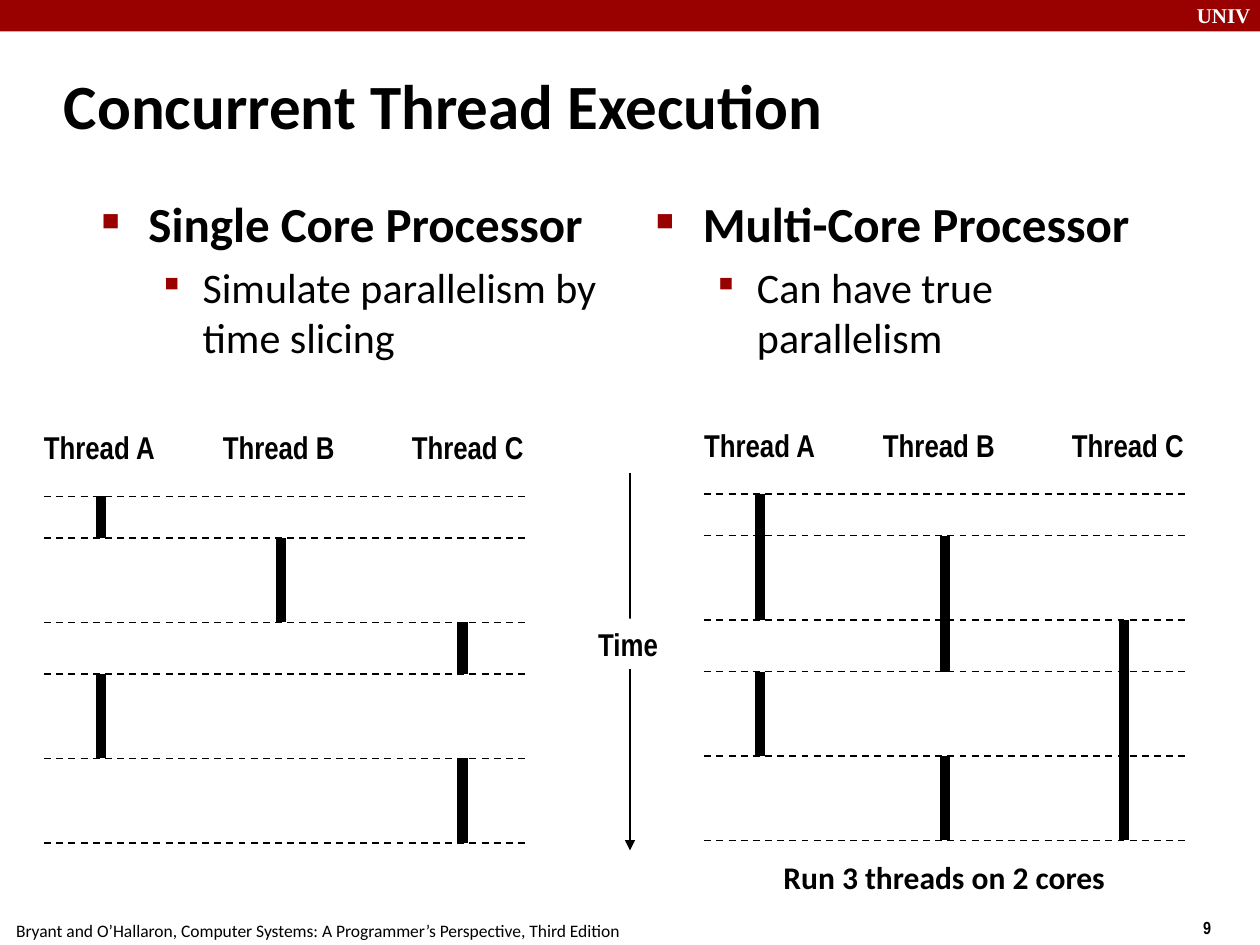
"""Build a slide comparing thread execution on single-core and multi-core processors."""
from lxml import etree
from pptx import Presentation
from pptx.dml.color import RGBColor
from pptx.enum import dml, shapes, text
from pptx.oxml.ns import qn
from pptx.util import Inches, Pt

THEME = dict(
    black="000000", red="990000", white="FFFFFF",
    body="Calibri", label="Arial Narrow", brand="Times New Roman",
    title=36, head=28, sub=24, tag=18, logo=12, foot=10,
    thin=1, thick=6,
)

TITLE = "Concurrent Thread Execution"
POINTS = [
    (0.7, "Single Core Processor", "Simulate parallelism by time slicing"),
    (5.1, "Multi-Core Processor", "Can have true parallelism"),
]
BULLETS = [
    dict(char="■", scale=60, left=0.38, hang=-0.37, gap=5.6, size="head", bold=True),
    dict(char="▪", scale=110, left=0.81, hang=-0.31, gap=4.8, size="sub", bold=False),
]
THREADS = [("Thread A", 0), ("Thread B", 1.42), ("Thread C", 2.92)]
TICKS = [0, 0.33, 1, 1.41, 2.08, 2.75]
CHARTS = [
    dict(left=0.35, top=3.94, lanes=(0.45, 1.88, 3.32),
         runs=[(0, 0, 1), (1, 1, 2), (2, 2, 3), (0, 3, 4), (2, 4, 5)]),
    dict(left=5.59, top=3.92, lanes=(0.44, 1.91, 3.33),
         runs=[(0, 0, 2), (1, 1, 3), (2, 2, 5), (0, 3, 4), (1, 4, 5)]),
]
SPAN = 3.82
NOTES = [
    dict(words="UNIV", box=(9.4, -0.03, 0.67, 0.3),
         size="logo", face="brand", color="white"),
    dict(words="9", box=(9.45, 7.23, 0.5, 0.27), size="foot", face="label"),
    dict(words="Bryant and O’Hallaron, Computer Systems: A Programmer’s Perspective, Third Edition",
         box=(0.03, 7.25, 5.2, 0.25), size="foot", bold=False),
    dict(words="Run 3 threads on 2 cores", box=(6.12, 6.76, 2.9, 0.4)),
]

deck = Presentation()
deck.slide_width, deck.slide_height = Inches(10), Inches(7.5)
slide = deck.slides.add_slide(deck.slide_layouts[6])


def tint(name):
    return RGBColor.from_string(THEME[name])


def style(run, size, face="body", color="black", bold=True):
    values = dict(size=Pt(THEME[size]), name=THEME[face], bold=bold)
    for key, value in values.items():
        setattr(run.font, key, value)
    run.font.color.rgb = tint(color)


def block(box, color):
    shape = slide.shapes.add_shape(shapes.MSO_SHAPE.RECTANGLE, *map(Inches, box))
    shape.shadow.inherit = False
    shape.fill.solid()
    shape.fill.fore_color.rgb = tint(color)
    shape.line.fill.background()
    return shape


def fill(shape, words, size="tag", wrap=True, align=text.PP_ALIGN.LEFT,
         anchor=text.MSO_ANCHOR.TOP, **look):
    frame = shape.text_frame
    frame.word_wrap, frame.vertical_anchor = wrap, anchor
    para = frame.paragraphs[0]
    para.alignment = align
    run = para.add_run()
    run.text = words
    style(run, size, **look)
    return para


def note(words, box, **look):
    return fill(slide.shapes.add_textbox(*map(Inches, box)), words, **look)


def rule(start, end, width="thin", dash=False, arrow=False):
    line = slide.shapes.add_connector(
        shapes.MSO_CONNECTOR.STRAIGHT, *map(Inches, (*start, *end)))
    line.line.color.rgb = tint("black")
    line.line.width = Pt(THEME[width])
    if dash:
        line.line.dash_style = dml.MSO_LINE.DASH
    if arrow:
        outline = line._element.spPr.find(qn("a:ln"))
        etree.SubElement(outline, qn("a:tailEnd"), type="triangle")
    etree.SubElement(line._element.spPr, qn("a:effectLst"))


def indent(para, left, hang):
    props = para._p.get_or_add_pPr()
    props.set("marL", str(Inches(left)))
    props.set("indent", str(Inches(hang)))
    return props


def bullet(para, words, level, rank):
    para.level = rank
    para.space_before = Pt(level["gap"])
    props = indent(para, level["left"], level["hang"])
    color = etree.SubElement(props, qn("a:buClr"))
    etree.SubElement(color, qn("a:srgbClr"), val=THEME["red"])
    etree.SubElement(props, qn("a:buSzPct"), val=str(level["scale"] * 1000))
    etree.SubElement(props, qn("a:buFont"), typeface=THEME["label"])
    etree.SubElement(props, qn("a:buChar"), char=level["char"])
    run = para.add_run()
    run.text = words
    style(run, level["size"], bold=level["bold"])


block((0, 0, 10, 0.25), "red")
for item in NOTES:
    note(**item)
head = note(TITLE, (0.41, 0.41, 8.3, 0.83), size="title",
            anchor=text.MSO_ANCHOR.MIDDLE)
indent(head, 0.13, -0.13)

for left, *lines in POINTS:
    frame = slide.shapes.add_textbox(*map(Inches, (left, 1.49, 4.23, 5.44))).text_frame
    frame.word_wrap = True
    for rank, (words, level) in enumerate(zip(lines, BULLETS)):
        para = frame.add_paragraph() if rank else frame.paragraphs[0]
        bullet(para, words, level, rank)

rule((5, 3.75), (5, 6.75), arrow=True)
fill(block((4.65, 4.91, 0.67, 0.4), "white"), "Time", face="label",
     wrap=False, align=text.PP_ALIGN.CENTER)

for chart in CHARTS:
    left, top = chart["left"], chart["top"]
    for name, shift in THREADS:
        note(name, (left - 0.1 + shift, top - 0.59, 1.3, 0.4), face="label")
    for lane, start, end in chart["runs"]:
        x = left + chart["lanes"][lane]
        rule((x, top + TICKS[start]), (x, top + TICKS[end]), width="thick")
    for tick in TICKS:
        rule((left, top + tick), (left + SPAN, top + tick), dash=True)

deck.save("out.pptx")
